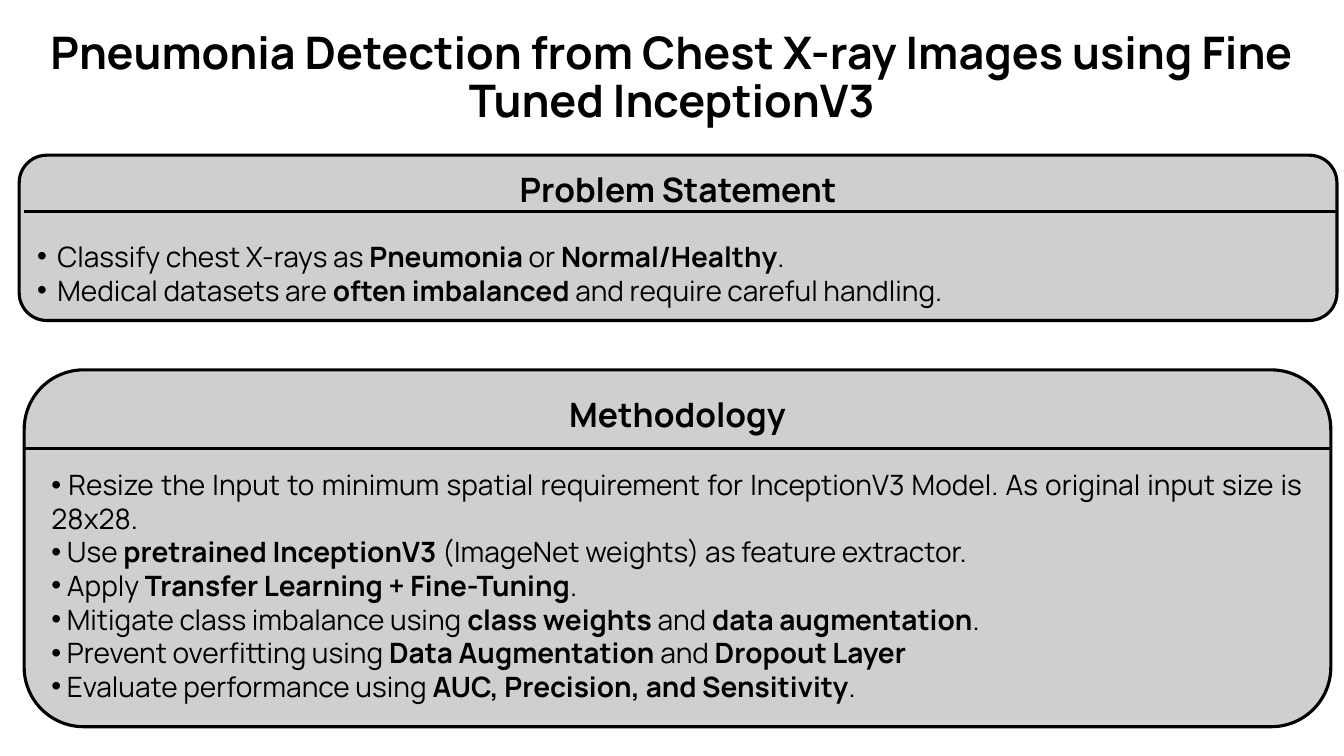
import dataclasses

import lxml.etree
import pptx
import pptx.dml.color
import pptx.enum.shapes
import pptx.enum.text
import pptx.oxml.ns
import pptx.util

ALIGN = pptx.enum.text.PP_ALIGN
ANCHOR = pptx.enum.text.MSO_ANCHOR


@dataclasses.dataclass(frozen=True)
class Theme:
    font: str = "Manrope"
    ink: str = "000000"
    panel: str = "D0CECE"
    title: int = 32
    heading: int = 24
    body: int = 20
    line: float = 2.25


class Poster:
    def __init__(self, deck, theme):
        self.width, self.height = deck.slide_width, deck.slide_height
        self.slide = deck.slides.add_slide(deck.slide_layouts[6])
        self.theme = theme

    def x(self, percent):
        return round(self.width * percent / 100)

    def y(self, percent):
        return round(self.height * percent / 100)

    def area(self, left, top, width, height):
        return self.x(left), self.y(top), self.x(width), self.y(height)

    def color(self, value):
        return pptx.dml.color.RGBColor.from_string(value)

    def style(self, paragraph, size, align):
        paragraph.alignment = align
        paragraph.font.name = self.theme.font
        paragraph.font.size = pptx.util.Pt(size)
        paragraph.font.color.rgb = self.color(self.theme.ink)

    def title(self, text, bounds):
        frame = self.slide.shapes.add_textbox(*self.area(*bounds)).text_frame
        frame.word_wrap = True
        frame.vertical_anchor = ANCHOR.MIDDLE
        frame.margin_top = frame.margin_bottom = pptx.util.Inches(0.1)
        heading = frame.paragraphs[0]
        heading.text = text
        heading.line_spacing = 0.9
        self.style(heading, self.theme.title, ALIGN.CENTER)
        heading.font.bold = True

    def panel(self, heading_text, points, bounds, gap, hang=0, lead=""):
        panel = self.slide.shapes.add_shape(
            pptx.enum.shapes.MSO_SHAPE.ROUNDED_RECTANGLE, *self.area(*bounds))
        panel.shadow.inherit = False
        panel.fill.solid()
        panel.fill.fore_color.rgb = self.color(self.theme.panel)
        panel.line.color.rgb = self.color(self.theme.ink)
        panel.line.width = pptx.util.Pt(self.theme.line)
        frame = panel.text_frame
        frame.word_wrap = True
        frame.vertical_anchor = ANCHOR.MIDDLE
        frame.auto_size = pptx.enum.text.MSO_AUTO_SIZE.SHAPE_TO_FIT_TEXT
        heading = frame.paragraphs[0]
        heading.text = heading_text
        heading.space_after = pptx.util.Pt(gap)
        self.style(heading, self.theme.heading, ALIGN.CENTER)
        heading.font.bold = True
        for point in points:
            self.bullet(frame.add_paragraph(), lead + point, hang)

    def bullet(self, paragraph, marked_text, hang):
        self.style(paragraph, self.theme.body, ALIGN.JUSTIFY)
        for index, part in enumerate(marked_text.split("**")):
            if part:
                run = paragraph.add_run()
                run.text = part
                run.font.bold = index % 2 == 1
        properties = paragraph._p.get_or_add_pPr()
        indent = pptx.util.Inches(hang)
        properties.set("marL", str(indent))
        properties.set("indent", str(-indent))
        qn = pptx.oxml.ns.qn
        defaults = properties.find(qn("a:defRPr"))
        bullet_font = lxml.etree.Element(qn("a:buFont"), typeface="Arial")
        bullet_mark = lxml.etree.Element(qn("a:buChar"), char="•")
        defaults.addprevious(bullet_font)
        defaults.addprevious(bullet_mark)

    def divider(self, left, right, level):
        divider = self.slide.shapes.add_connector(
            pptx.enum.shapes.MSO_CONNECTOR.STRAIGHT,
            self.x(left), self.y(level), self.x(right), self.y(level))
        divider.line.color.rgb = self.color(self.theme.ink)
        divider.line.width = pptx.util.Pt(self.theme.line)
        lxml.etree.SubElement(
            divider._element.spPr, pptx.oxml.ns.qn("a:effectLst"))


PROBLEM = [
    "Classify chest X-rays as **Pneumonia** or **Normal/Healthy**.",
    "Medical datasets are **often imbalanced** and require careful handling.",
]
METHODOLOGY = [
    "Resize the Input to minimum spatial requirement for InceptionV3 Model. "
    "As original input size is 28x28.",
    "Use **pretrained InceptionV3** (ImageNet weights) as feature extractor.",
    "Apply **Transfer Learning + Fine-Tuning**.",
    "Mitigate class imbalance using **class weights** and **data augmentation**.",
    "Prevent overfitting using **Data Augmentation **and** Dropout Layer**",
    "Evaluate performance using **AUC, Precision, and Sensitivity**.",
]


def main():
    deck = pptx.Presentation()
    deck.slide_width = pptx.util.Inches(13.33)
    deck.slide_height = pptx.util.Inches(7.5)
    poster = Poster(deck, Theme())
    poster.title("Pneumonia Detection from Chest X-ray Images using Fine "
                 "Tuned InceptionV3", (0.6, 2.4, 98.8, 16.13))
    poster.panel("Problem Statement", PROBLEM, (1.43, 20.53, 98.05, 21.87),
                 gap=21.6, hang=0.2)
    poster.panel("Methodology", METHODOLOGY, (1.8, 48.93, 97.22, 47.2),
                 gap=24, lead=" ")
    poster.divider(1.8, 99.48, 28)
    poster.divider(1.8, 99.02, 59.33)
    deck.save("out.pptx")


if __name__ == "__main__":
    main()
